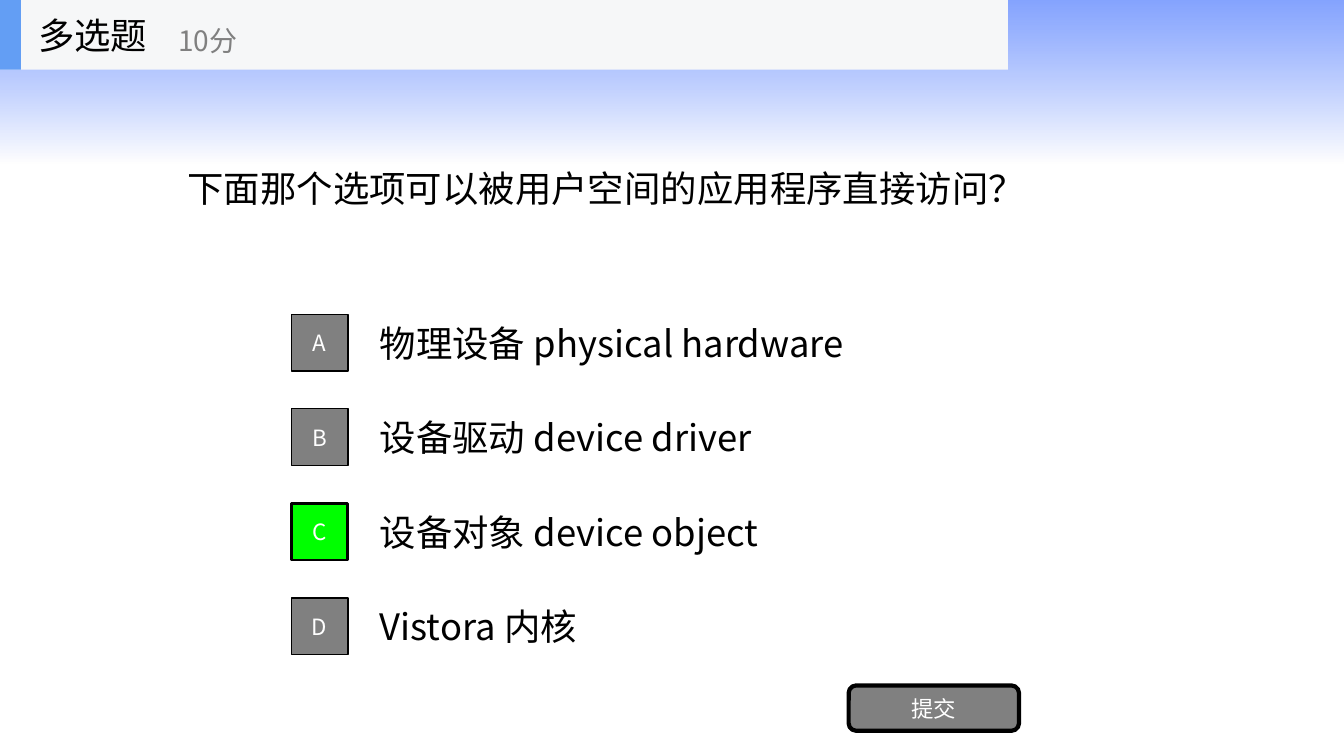
from lxml.etree import SubElement
from pptx import Presentation
from pptx.dml.color import RGBColor
from pptx.enum.shapes import MSO_SHAPE
from pptx.enum.text import MSO_ANCHOR, MSO_AUTO_SIZE, PP_ALIGN
from pptx.oxml.ns import qn
from pptx.util import Pt

BLACK = RGBColor(0x00, 0x00, 0x00)
WHITE = RGBColor(0xFF, 0xFF, 0xFF)
GRAY = RGBColor(0x80, 0x80, 0x80)
GREEN = RGBColor(0x00, 0xFF, 0x00)
BLUE = RGBColor(0x33, 0x66, 0xFF)
PALE = RGBColor(0xF6, 0xF7, 0xF8)
SKY = RGBColor(0x63, 0x9E, 0xF4)

CHOICES = [
    ("A", "物理设备 physical hardware", False),
    ("B", "设备驱动 device driver", False),
    ("C", "设备对象 device object", True),
    ("D", "Vistora 内核", False),
]


class Quiz:
    """Draws the parts of a quiz slide in one style, with lengths in points."""

    face = "Noto Sans CJK SC"

    def __init__(self, slide):
        self.slide = slide
        self.shapes = slide.shapes

    def letter(self, shape, text, size=26, color=BLACK, align=PP_ALIGN.LEFT):
        frame = shape.text_frame
        form = {
            "word_wrap": True,
            "auto_size": MSO_AUTO_SIZE.NONE,
            "vertical_anchor": MSO_ANCHOR.MIDDLE,
        }
        for name, value in form.items():
            setattr(frame, name, value)
        line = frame.paragraphs[0]
        line.alignment = align
        run = line.add_run()
        run.text = text
        for name, value in {"name": self.face, "size": Pt(size)}.items():
            setattr(run.font, name, value)
        run.font.color.rgb = color
        east = SubElement(run.font._element, qn("a:ea"))
        east.set("typeface", self.face)

    def title(self, box, text):
        head = self.shapes.title
        names = ("left", "top", "width", "height")
        for name, value in zip(names, box):
            setattr(head, name, Pt(value))
        self.letter(head, text)

    def label(self, box, text, **style):
        self.letter(self.shapes.add_textbox(*map(Pt, box)), text, **style)

    def block(self, box, fill, kind=MSO_SHAPE.RECTANGLE):
        shape = self.shapes.add_shape(kind, *map(Pt, box))
        shape.shadow.inherit = False
        shape.fill.solid()
        shape.fill.fore_color.rgb = fill
        shape.line.fill.background()
        return shape

    def button(self, box, text, fill, edge, kind=MSO_SHAPE.RECTANGLE):
        shape = self.block(box, fill, kind)
        shape.line.color.rgb = BLACK
        shape.line.width = Pt(edge)
        self.letter(shape, text, 16, WHITE, PP_ALIGN.CENTER)

    def fade(self, box, stops):
        shape = self.block(box, WHITE)
        shape.fill.gradient()
        shape.fill.gradient_angle = 270
        for stop, (color, _) in zip(shape.fill.gradient_stops, stops):
            stop.color.rgb = color
        tones = shape._element.spPr.iter(qn("a:srgbClr"))
        for tone, (_, alpha) in zip(list(tones), stops):
            SubElement(tone, qn("a:alpha")).set("val", str(alpha * 1000))
        self.shapes._spTree.insert(2, shape._element)


def main():
    deck = Presentation()
    deck.slide_width, deck.slide_height = Pt(960), Pt(540)
    quiz = Quiz(deck.slides.add_slide(deck.slide_layouts[5]))

    quiz.fade((0, 0, 960, 116.6), [(BLUE, 60), (WHITE, 70)])
    quiz.title((126.7, 49.7, 678.2, 168.5), "下面那个选项可以被用户空间的应用程序直接访问？")
    for row, (key, text, right) in enumerate(CHOICES):
        top = 219.5 + 67.5 * row
        quiz.label((264.2, top, 504, 50.4), text)
        fill, edge = (GREEN, 2) if right else (GRAY, 1)
        quiz.button((208, top + 5, 40.5, 40.5), key, fill, edge)
    quiz.button((606.2, 489.6, 121.7, 32.4), "提交", GRAY, 3,
                MSO_SHAPE.ROUNDED_RECTANGLE)

    quiz.block((0, 0, 720, 49.7), PALE)
    quiz.block((0, 0, 15, 49.7), SKY)
    quiz.label((20.2, 0, 150, 49.7), "多选题")
    quiz.label((120.2, 8.6, 180, 40.5), "10分", size=20, color=GRAY)
    deck.save("out.pptx")


if __name__ == "__main__":
    main()
